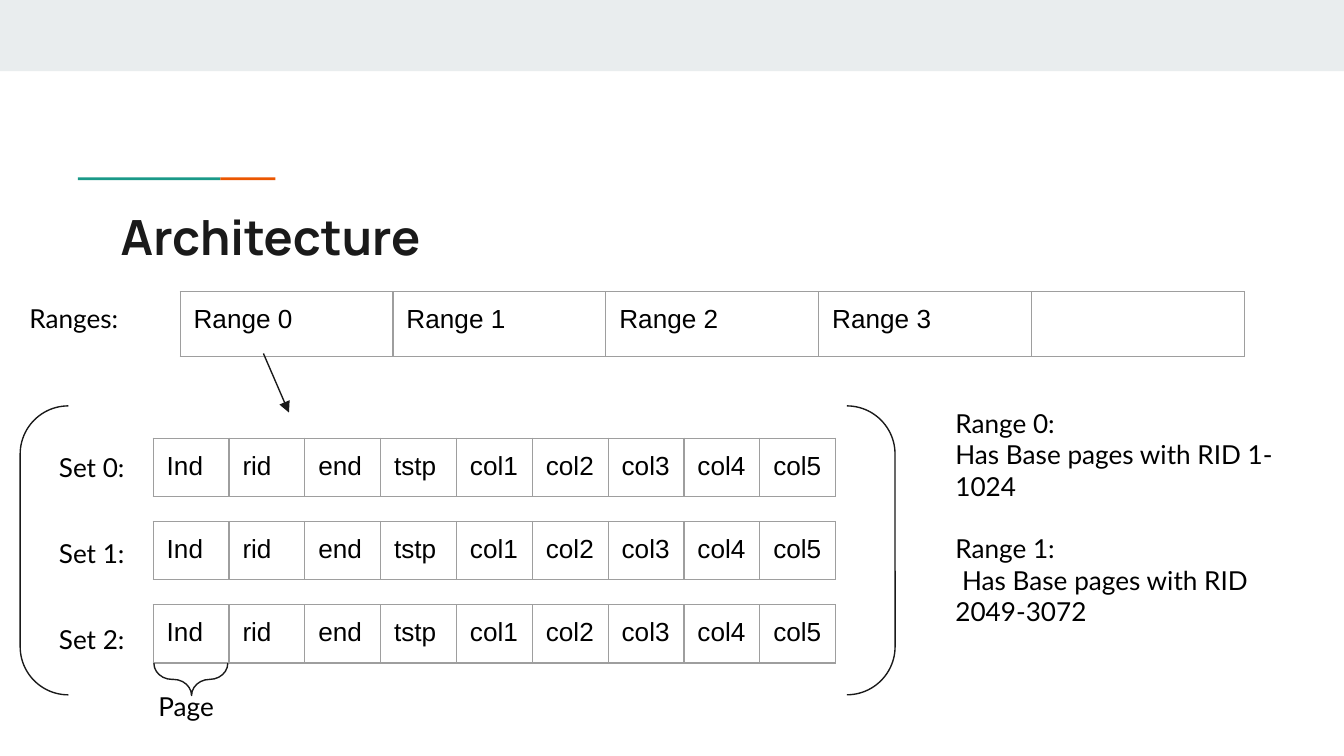
import pptx
import pptx.util
import pptx.dml.color
import pptx.enum.shapes
import pptx.oxml
import pptx.oxml.ns
from lxml import etree

Inches = pptx.util.Inches
Pt = pptx.util.Pt
Kind = pptx.enum.shapes.MSO_SHAPE
qn = pptx.oxml.ns.qn
HUES = {"band": "E9EDEE", "teal": "1A9988", "rust": "EB5600",
        "ink": "1A1A1A", "text": "000000", "grid": "9E9E9E"}


def color(name):
    return pptx.dml.color.RGBColor.from_string(HUES[name])


def style(para, font, size=14, hue="text", bold=False):
    para.font.name = font
    para.font.size = Pt(size)
    para.font.color.rgb = color(hue)
    para.font.bold = bold


def pad(box):
    box.margin_left = box.margin_right = Inches(0.1)
    box.margin_top = box.margin_bottom = Inches(0.1)


def write(slide, x, y, w, h, lines, wrap=False, font="Lato", **look):
    box = slide.shapes.add_textbox(Inches(x), Inches(y), Inches(w), Inches(h))
    frame = box.text_frame
    frame.word_wrap = wrap
    pad(frame)
    frame.text = "\n".join(lines)
    for para in frame.paragraphs:
        style(para, font, **look)
    return frame


def shape(slide, kind, x, y, w, h, fill=None):
    item = slide.shapes.add_shape(kind, Inches(x), Inches(y), Inches(w), Inches(h))
    item.shadow.inherit = False
    if fill:
        item.fill.solid()
        item.fill.fore_color.rgb = color(fill)
        item.line.fill.background()
    else:
        item.fill.background()
        item.line.color.rgb = color("ink")
        item.line.width = Pt(0.75)
    return item


def border(cell):
    props = cell._tc.get_or_add_tcPr()
    for spot, side in enumerate(("lnL", "lnR", "lnT", "lnB")):
        line = etree.Element(qn("a:" + side), w=str(Pt(0.75)))
        fill = etree.SubElement(line, qn("a:solidFill"))
        etree.SubElement(fill, qn("a:srgbClr"), val=HUES["grid"])
        props.insert(spot, line)


def strip(slide, x, y, w, h, words):
    count = len(words)
    table = slide.shapes.add_table(1, count, Inches(x), Inches(y),
                                   Inches(w), Inches(h)).table
    table.first_row = table.horz_banding = False
    for col, word in enumerate(words):
        table.columns[col].width = Inches(w / count)
        cell = table.cell(0, col)
        cell.text = word
        pad(cell)
        cell.fill.background()
        style(cell.text_frame.paragraphs[0], "Arial")
        border(cell)


def arrow(slide, x, y, w, h):
    line = slide.shapes.add_connector(
        pptx.enum.shapes.MSO_CONNECTOR.STRAIGHT,
        Inches(x), Inches(y), Inches(x + w), Inches(y + h))
    line.line.color.rgb = color("ink")
    line.line.width = Pt(0.75)
    etree.SubElement(line.line._get_or_add_ln(), qn("a:tailEnd"), type="triangle")
    etree.SubElement(line._element.spPr, qn("a:effectLst"))


def header(slide, x, y, w):
    shape(slide, Kind.RECTANGLE, x, y, w, 0.53, "band")
    shape(slide, Kind.RECTANGLE, x + 0.58, y + 1.32, 1.06, 0.02, "teal")
    shape(slide, Kind.RECTANGLE, x + 1.64, y + 1.32, 0.41, 0.02, "rust")
    write(slide, x + 0.8, y + 1.44, 8.41, 0.59, ["Architecture"], True,
          "Manrope", size=26, hue="ink", bold=True)


def ranges(slide, x, y):
    names = [f"Range {num}" for num in range(4)] + [""]
    strip(slide, x + 1.22, y + 0.02, 7.92, 0.48, names)
    write(slide, x, y, 1.14, 0.51, ["Ranges:"])
    arrow(slide, x + 1.84, y + 0.48, 0.19, 0.44)


def sets(slide, x, y, w, h):
    shape(slide, Kind.DOUBLE_BRACKET, x, y, w, h)
    names = ["Ind", "rid", "end", "tstp"] + [f"col{num}" for num in range(1, 6)]
    for num in range(3):
        strip(slide, x + 0.99, y + 0.24 + 0.62 * num, 5.08, 0.43, names)
        write(slide, x + 0.19, y + 0.24 + 0.64 * num, 0.7, 0.38, [f"Set {num}:"])
    brace = shape(slide, Kind.LEFT_BRACE, x + 1.15, y + 1.76, 0.24, 0.55)
    brace.rotation = 270
    brace.adjustments[0] = 0.57
    brace.adjustments[1] = 0.51
    write(slide, x + 0.93, y + 2.02, 0.74, 0.34, ["Page"])


def notes(slide, x, y, w, h):
    frame = write(slide, x, y, w, h, [
        "Range 0: ", "Has Base pages with RID 1-1024",
        "Range 1:", " Has Base pages with RID 2049-3072"], True)
    frame.paragraphs[2].space_before = Pt(16.8)


deck = pptx.Presentation()
deck.slide_width = Inches(10)
deck.slide_height = Inches(10 * 9 / 16)
page = deck.slides.add_slide(deck.slide_layouts[6])
header(page, 0, 0, 10)
ranges(page, 0.12, 2.15)
sets(page, 0.15, 3.02, 6.51, 2.15)
notes(page, 7.01, 2.93, 2.71, 1.76)
deck.save("out.pptx")
